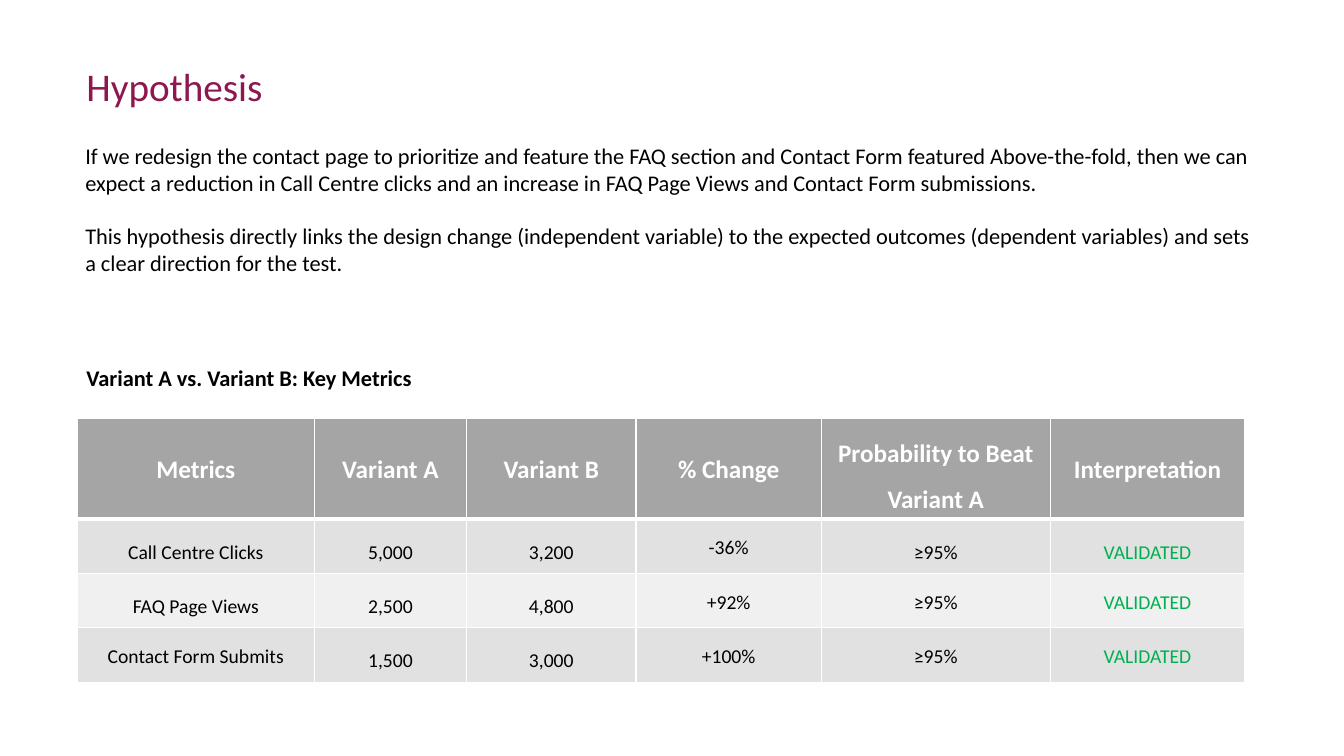
from dataclasses import dataclass

from lxml.etree import SubElement
from pptx import Presentation
from pptx.dml.color import RGBColor
from pptx.enum.text import MSO_ANCHOR, PP_ALIGN
from pptx.oxml.ns import qn
from pptx.util import Cm, Pt


@dataclass(frozen=True)
class Theme:
    font: str = "Calibri"
    plum: str = "8F174F"
    black: str = "000000"
    white: str = "FFFFFF"
    green: str = "00B050"
    header: str = "A5A5A5"
    bands: tuple = ("E1E1E1", "F0F0F0")
    title: int = 28
    body: int = 16
    head: int = 18
    cell: int = 14


THEME = Theme()
PARAGRAPHS = (
    "If we redesign the contact page to prioritize and feature the FAQ section and "
    "Contact Form featured Above-the-fold, then we can expect a reduction in Call "
    "Centre clicks and an increase in FAQ Page Views and Contact Form submissions.",
    "This hypothesis directly links the design change (independent variable) to the "
    "expected outcomes (dependent variables) and sets a clear direction for the test.",
)
HEADERS = ("Metrics", "Variant A", "Variant B", "% Change",
           "Probability to Beat Variant A", "Interpretation")
METRICS = (
    (("Call Centre Clicks", "5,000", "3,200", "-36%", "≥95%", "VALIDATED"), "mmmtmm"),
    (("FAQ Page Views", "2,500", "4,800", "+92%", "≥95%", "VALIDATED"), "mmmttt"),
    (("Contact Form Submits", "1,500", "3,000", "+100%", "≥95%", "VALIDATED"), "tmmttt"),
)
ANCHORS = {"t": MSO_ANCHOR.TOP, "m": MSO_ANCHOR.MIDDLE}
COLUMN_WIDTHS = (5.97, 3.84, 4.27, 4.67, 5.77, 4.9)
HEADER_HEIGHT, ROW_HEIGHT = 2.54, 1.37


def write(p, text, size, color, bold=False, **layout):
    r = p.add_run()
    r.text = text
    formats = {"name": THEME.font, "size": Pt(size), "bold": bold}
    for name, value in formats.items():
        setattr(r.font, name, value)
    r.font.color.rgb = RGBColor.from_string(color)
    for name, value in layout.items():
        setattr(p, name, value)


def add_text(s, box, texts, size, color, bold=False):
    tf = s.shapes.add_textbox(*map(Cm, box)).text_frame
    tf.word_wrap = True
    for i, text in enumerate(texts):
        p = tf.add_paragraph() if i else tf.paragraphs[0]
        gap = Pt(size * 1.2 if i < len(texts) - 1 else 0)
        write(p, text, size, color, bold, space_after=gap)


def set_borders(cell, widths):
    tc_pr = cell._tc.get_or_add_tcPr()
    for side, width in widths.items():
        ln = SubElement(tc_pr, qn(f"a:ln{side}"), w=str(Pt(width)))
        fill = SubElement(ln, qn("a:solidFill"))
        SubElement(fill, qn("a:srgbClr"), val=THEME.white)


def fill_cell(cell, text, size, color, fill, spacing, borders, anchor="t", bold=False):
    set_borders(cell, borders)
    cell.fill.solid()
    cell.fill.fore_color.rgb = RGBColor.from_string(fill)
    cell.vertical_anchor = ANCHORS[anchor]
    write(cell.text_frame.paragraphs[0], text, size, color, bold,
          alignment=PP_ALIGN.CENTER, line_spacing=spacing)


def add_metrics_table(s, left, top):
    height = HEADER_HEIGHT + ROW_HEIGHT * len(METRICS)
    size = (sum(COLUMN_WIDTHS), height)
    table = s.shapes.add_table(len(METRICS) + 1, len(HEADERS),
                               Cm(left), Cm(top), *map(Cm, size)).table
    for column, width in zip(table.columns, COLUMN_WIDTHS):
        column.width = Cm(width)
    for i, row in enumerate(table.rows):
        row.height = Cm(ROW_HEIGHT if i else HEADER_HEIGHT)
    for j, text in enumerate(HEADERS):
        spacing = 1.5 if text.startswith("Probability") else 2.0
        fill_cell(table.cell(0, j), text, THEME.head, THEME.white, THEME.header,
                  spacing, {"L": 1, "R": 1, "T": 1, "B": 3}, bold=True)
    for i, (values, anchors) in enumerate(METRICS, 1):
        borders = {"L": 1, "R": 1, "T": 3 if i == 1 else 1, "B": 1}
        for j, (text, anchor) in enumerate(zip(values, anchors)):
            color = THEME.green if text == "VALIDATED" else THEME.black
            fill_cell(table.cell(i, j), text, THEME.cell, color,
                      THEME.bands[(i - 1) % 2], 1.5, borders, anchor)


def main():
    prs = Presentation()
    prs.slide_width, prs.slide_height = Cm(33.87), Cm(19.05)
    s = prs.slides.add_slide(prs.slide_layouts[6])
    add_text(s, (1.93, 1.45, 5.41, 1.45), ["Hypothesis"], THEME.title, THEME.plum)
    add_text(s, (1.9, 3.45, 30.07, 3.68), PARAGRAPHS, THEME.body, THEME.black)
    add_text(s, (1.93, 9.04, 16.94, 0.94), ["Variant A vs. Variant B: Key Metrics"],
             THEME.body, THEME.black, bold=True)
    add_metrics_table(s, 1.95, 10.54)
    prs.save("out.pptx")


if __name__ == "__main__":
    main()
